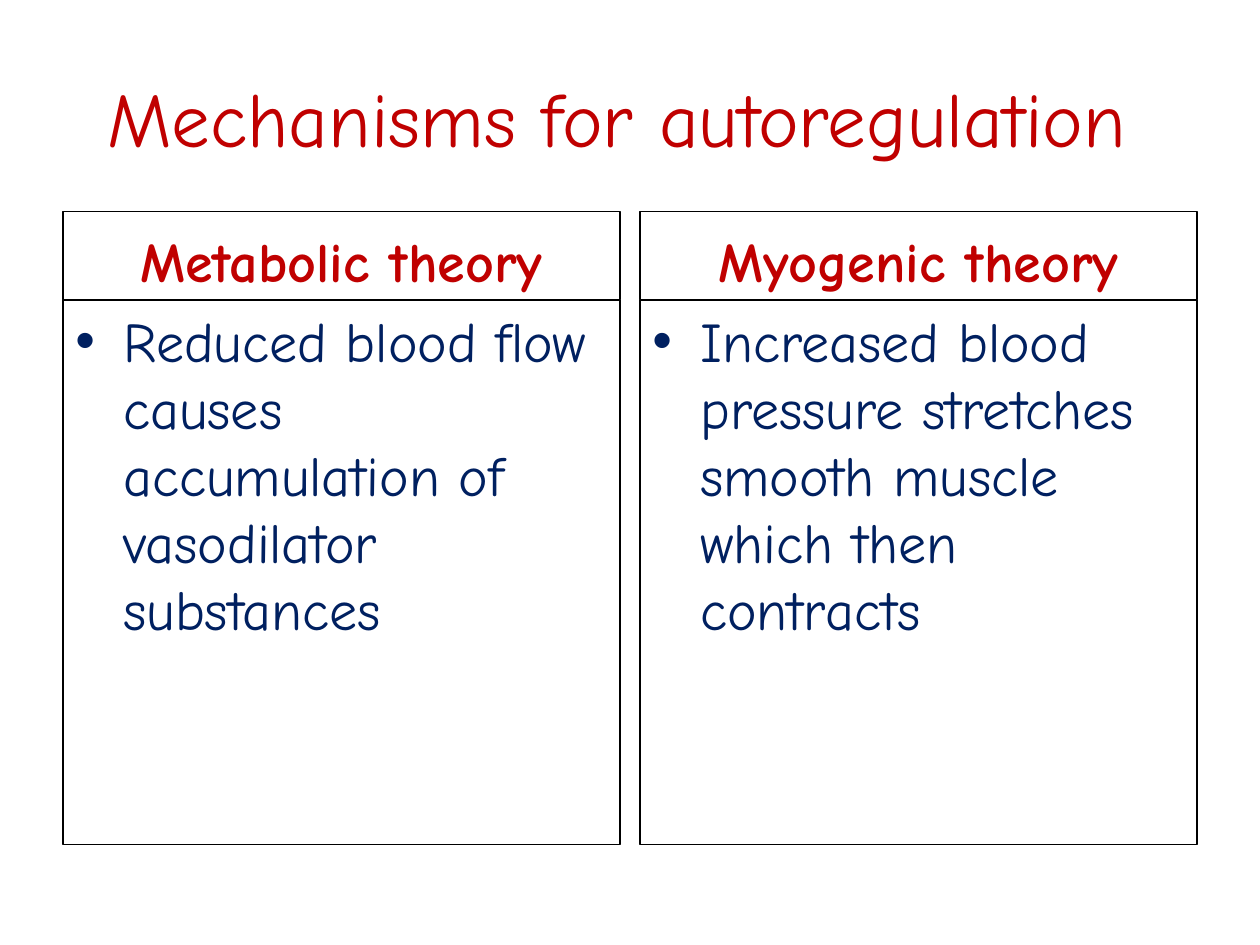
from lxml.etree import SubElement
from pptx import Presentation
from pptx.dml.color import RGBColor
from pptx.enum.shapes import MSO_SHAPE
from pptx.enum.text import MSO_ANCHOR, PP_ALIGN
from pptx.oxml.ns import qn
from pptx.util import Inches, Pt

RED = RGBColor(0xC0, 0x00, 0x00)
NAVY = RGBColor(0x00, 0x20, 0x60)
BLACK = RGBColor(0x00, 0x00, 0x00)

MARGIN, COLUMN_W, GAP = 0.5, 4.42, 0.16
HEAD_TOP, HEAD_H, BODY_H = 1.68, 0.7, 4.32
COLUMNS = [
    ("Metabolic theory",
     "Reduced blood flow causes accumulation of vasodilator substances"),
    ("Myogenic theory",
     "Increased blood pressure stretches smooth muscle which then contracts"),
]


def add_bullet(p, indent):
    """Give the paragraph a round bullet with a hanging indent."""
    pPr = p._p.get_or_add_pPr()
    pPr.set("marL", str(Inches(indent)))
    pPr.set("indent", str(-Inches(indent)))
    SubElement(pPr, qn("a:buFont"), typeface="Arial")
    SubElement(pPr, qn("a:buChar"), char="•")


def write(tf, text, size=32, color=NAVY, font="Comic Neue", bold=False,
          align=PP_ALIGN.LEFT, anchor=MSO_ANCHOR.TOP, bullet=False):
    tf.word_wrap = True
    tf.vertical_anchor = anchor
    p = tf.paragraphs[0]
    p.alignment = align
    if bullet:
        add_bullet(p, 0.38)
    r = p.add_run()
    r.text = text
    r.font.name = font
    r.font.size = Pt(size)
    r.font.bold = bold
    r.font.color.rgb = color


class SlideBuilder:
    def __init__(self, s, line_color=BLACK, line_width=0.75):
        self.s = s
        self.line_color = line_color
        self.line_width = line_width

    def text(self, x, y, w, h, text, **fmt):
        sp = self.s.shapes.add_textbox(Inches(x), Inches(y), Inches(w), Inches(h))
        write(sp.text_frame, text, **fmt)

    def box(self, x, y, w, h, text, **fmt):
        sp = self.s.shapes.add_shape(MSO_SHAPE.RECTANGLE, Inches(x), Inches(y),
                                     Inches(w), Inches(h))
        sp.shadow.inherit = False
        sp.fill.background()
        sp.line.color.rgb = self.line_color
        sp.line.width = Pt(self.line_width)
        write(sp.text_frame, text, **fmt)


def main():
    prs = Presentation()
    prs.slide_width, prs.slide_height = Inches(10), Inches(7.5)
    slide = SlideBuilder(prs.slides.add_slide(prs.slide_layouts[6]))

    slide.text(MARGIN, 0.3, 9, 1.25, "Mechanisms for autoregulation ", size=44,
               color=RED, align=PP_ALIGN.CENTER, anchor=MSO_ANCHOR.MIDDLE)
    for i, (heading, body) in enumerate(COLUMNS):
        x = MARGIN + i * (COLUMN_W + GAP)
        slide.box(x, HEAD_TOP, COLUMN_W, HEAD_H, heading, color=RED, bold=True,
                  align=PP_ALIGN.CENTER, anchor=MSO_ANCHOR.BOTTOM)
        slide.box(x, HEAD_TOP + HEAD_H, COLUMN_W, BODY_H, body, bullet=True)

    prs.save("out.pptx")


if __name__ == "__main__":
    main()
